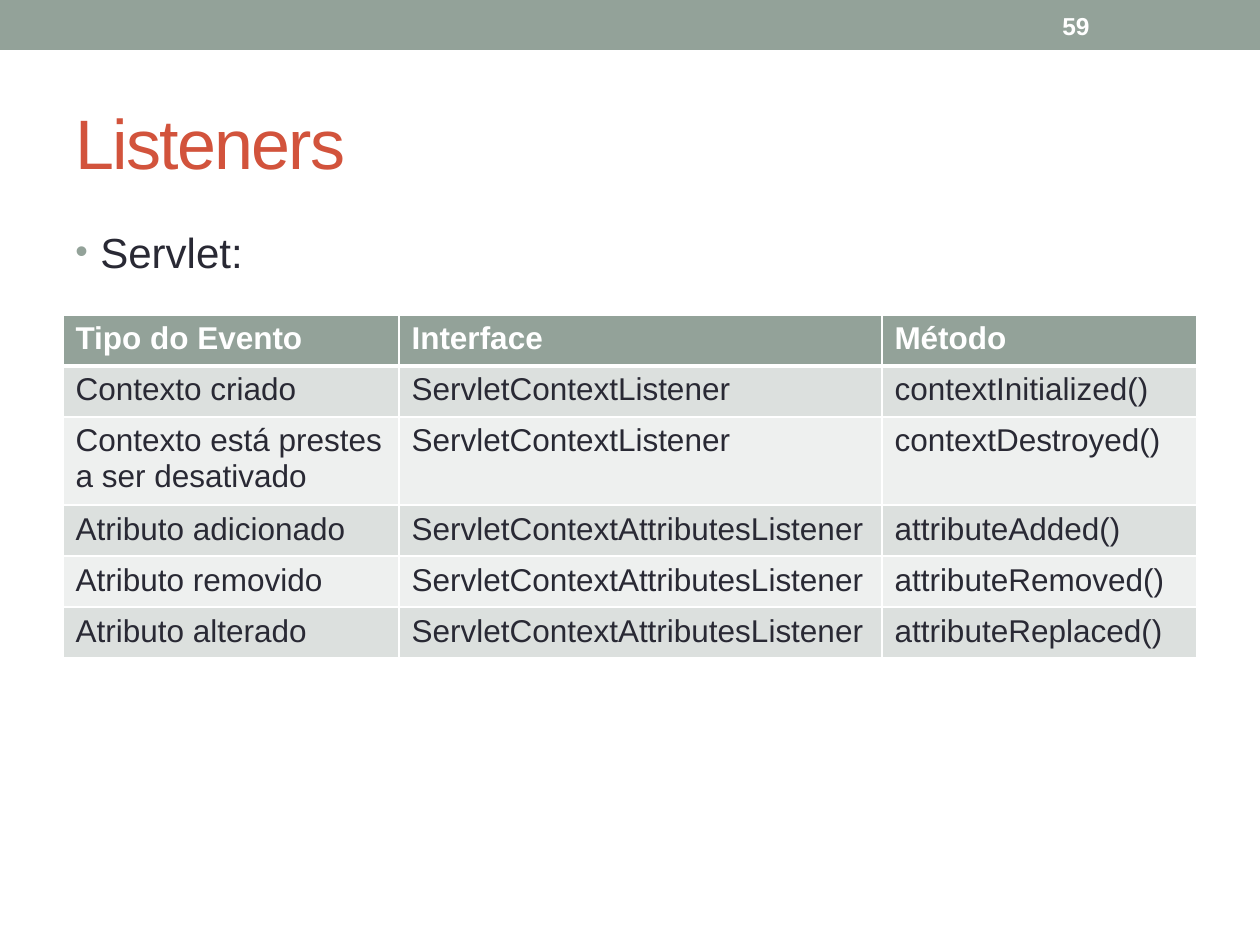
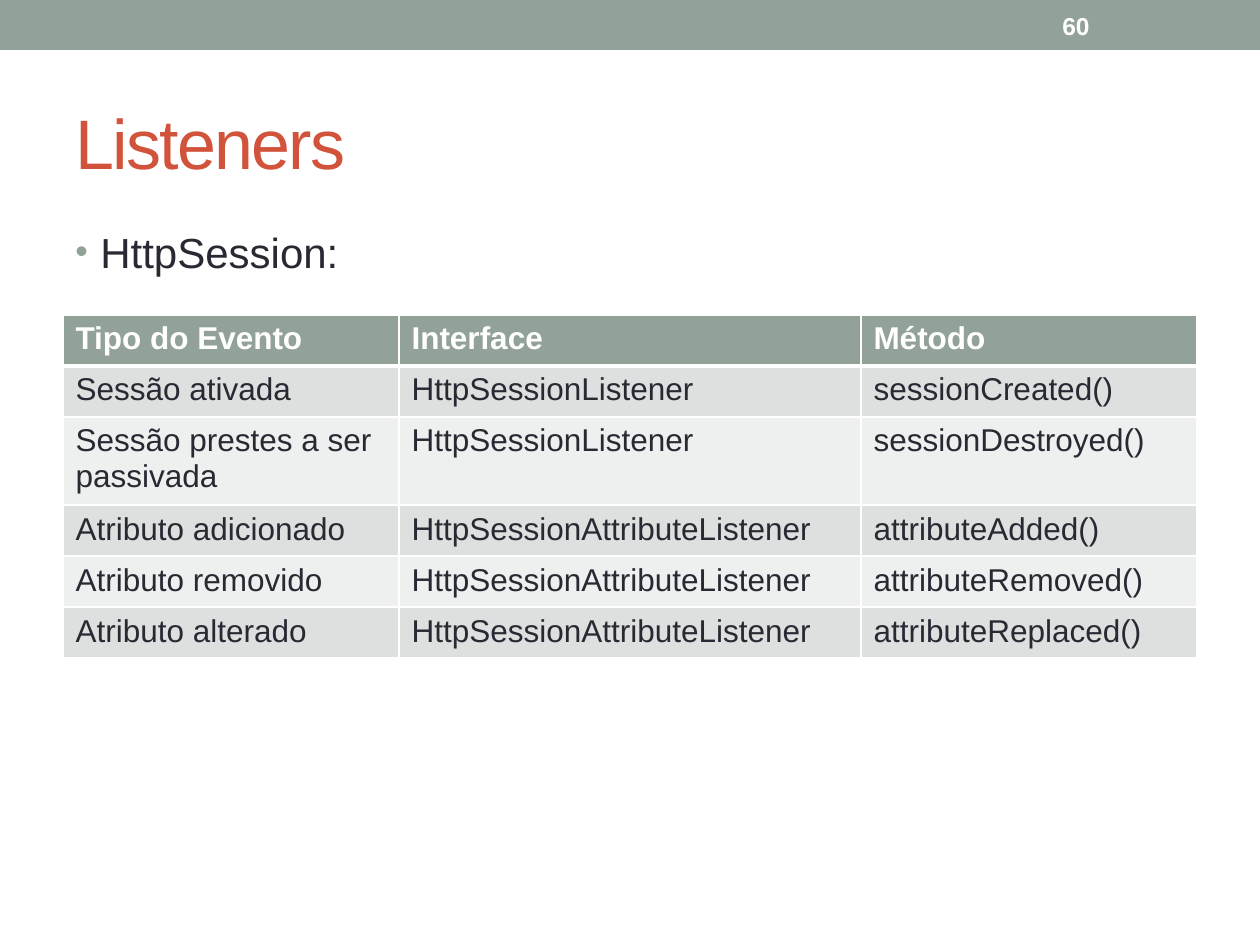
import dataclasses
import typing

import lxml.etree
import pptx
import pptx.dml.color
import pptx.enum.shapes
import pptx.enum.text
import pptx.oxml.ns
import pptx.slide
import pptx.table
import pptx.text.text
import pptx.util

PX = 914400 // 126


@dataclasses.dataclass(frozen=True)
class Theme:
    font: str = "Arial"
    band: str = "93A299"
    title: str = "D2533C"
    ink: str = "292934"
    white: str = "FFFFFF"
    stripes: tuple[str, str] = ("DCE0DE", "EEF0EF")
    title_size: int = 40
    body_size: int = 24
    table_size: int = 18
    number_size: int = 14
    rule: int = 1
    header_rule: int = 3


class Box(typing.NamedTuple):
    left: int
    top: int
    width: int
    height: int


@dataclasses.dataclass(frozen=True)
class ListenerSlide:
    number: int
    subject: str
    columns: tuple[int, int, int]
    rows: tuple[tuple[str, str, str], ...]


THEME = Theme()
SIZE = (1260, 945)
BAND = Box(0, 0, 1260, 50)
TITLE = Box(63, 73, 1134, 136)
BODY = Box(63, 220, 1134, 672)
NUMBER = Box(1050, 3, 147, 45)
TABLE = Box(63, 315, 1134, 344)
ROW_HEIGHT = 51
BULLET_INDENT = 25
HEADER = ("Tipo do Evento", "Interface", "Método")

SLIDES = (
    ListenerSlide(59, "Servlet:", (336, 483, 315), (
        ("Contexto criado", "ServletContextListener", "contextInitialized()"),
        ("Contexto está prestes a ser desativado", "ServletContextListener", "contextDestroyed()"),
        ("Atributo adicionado", "ServletContextAttributesListener", "attributeAdded()"),
        ("Atributo removido", "ServletContextAttributesListener", "attributeRemoved()"),
        ("Atributo alterado", "ServletContextAttributesListener", "attributeReplaced()"),
    )),
    ListenerSlide(60, "HttpSession:", (336, 462, 336), (
        ("Sessão ativada", "HttpSessionListener", "sessionCreated()"),
        ("Sessão prestes a ser passivada", "HttpSessionListener", "sessionDestroyed()"),
        ("Atributo adicionado", "HttpSessionAttributeListener", "attributeAdded()"),
        ("Atributo removido", "HttpSessionAttributeListener", "attributeRemoved()"),
        ("Atributo alterado", "HttpSessionAttributeListener", "attributeReplaced()"),
    )),
)


def px(n: int) -> pptx.util.Emu:
    return pptx.util.Emu(n * PX)


def rgb(color: str) -> pptx.dml.color.RGBColor:
    return pptx.dml.color.RGBColor.from_string(color)


def place(box: Box) -> list[pptx.util.Emu]:
    return [px(n) for n in box]


def sub(parent: lxml.etree._Element, tag: str, **attrs: object) -> lxml.etree._Element:
    el = lxml.etree.SubElement(parent, pptx.oxml.ns.qn(f"a:{tag}"))
    for name, value in attrs.items():
        el.set(name, str(value))
    return el


def add_bullet(p: pptx.text.text._Paragraph) -> None:
    pPr = p._p.get_or_add_pPr()
    pPr.set("marL", str(px(BULLET_INDENT)))
    pPr.set("indent", str(-px(BULLET_INDENT)))
    sub(sub(pPr, "spcBef"), "spcPct", val=20000)
    sub(sub(pPr, "buClr"), "srgbClr", val=THEME.band)
    sub(pPr, "buSzPct", val=85000)
    sub(pPr, "buFont", typeface=THEME.font)
    sub(pPr, "buChar", char="•")


def write(tf: pptx.text.text.TextFrame, text: str, *, size: int, color: str,
          bold: bool = False, spacing: int = 0, bullet: bool = False) -> None:
    p = tf.paragraphs[0]
    if bullet:
        add_bullet(p)
    r = p.add_run()
    r.text = text
    r.font.name = THEME.font
    r.font.size = pptx.util.Pt(size)
    r.font.bold = bold
    r.font.color.rgb = rgb(color)
    if spacing:
        r._r.get_or_add_rPr().set("spc", str(spacing * 100))


def add_text(s: pptx.slide.Slide, box: Box, text: str, *, middle: bool = True,
             **fmt: typing.Any) -> None:
    tf = s.shapes.add_textbox(*place(box)).text_frame
    tf.word_wrap = True
    anchor = pptx.enum.text.MSO_ANCHOR
    tf.vertical_anchor = anchor.MIDDLE if middle else anchor.TOP
    write(tf, text, **fmt)


def add_band(s: pptx.slide.Slide) -> None:
    sp = s.shapes.add_shape(pptx.enum.shapes.MSO_SHAPE.RECTANGLE, *place(BAND))
    sp.shadow.inherit = False
    sp.fill.solid()
    sp.fill.fore_color.rgb = rgb(THEME.band)
    sp.line.fill.background()


def style_cell(cell: pptx.table._Cell, fill: str, top: int, bottom: int) -> None:
    tcPr = cell._tc.get_or_add_tcPr()
    for side, width in (("L", THEME.rule), ("R", THEME.rule), ("T", top), ("B", bottom)):
        ln = sub(tcPr, f"ln{side}", w=pptx.util.Pt(width))
        sub(sub(ln, "solidFill"), "srgbClr", val=THEME.white)
    cell.fill.solid()
    cell.fill.fore_color.rgb = rgb(fill)


def add_events(s: pptx.slide.Slide, spec_slide: ListenerSlide) -> None:
    rows = (HEADER, *spec_slide.rows)
    table = s.shapes.add_table(len(rows), len(HEADER), *place(TABLE)).table
    for column, width in zip(table.columns, spec_slide.columns):
        column.width = px(width)
    for i, texts in enumerate(rows):
        table.rows[i].height = px(ROW_HEIGHT)
        header = i == 0
        fill = THEME.band if header else THEME.stripes[(i - 1) % 2]
        top = THEME.header_rule if i == 1 else THEME.rule
        bottom = THEME.header_rule if header else THEME.rule
        for j, text in enumerate(texts):
            cell = table.cell(i, j)
            style_cell(cell, fill, top, bottom)
            write(cell.text_frame, text, size=THEME.table_size, bold=header,
                  color=THEME.white if header else THEME.ink)


def add_slide(prs: typing.Any, content: ListenerSlide) -> None:
    s = prs.slides.add_slide(prs.slide_layouts[6])
    add_band(s)
    add_text(s, TITLE, "Listeners", size=THEME.title_size, color=THEME.title, spacing=-1)
    add_text(s, BODY, content.subject, middle=False, size=THEME.body_size,
             color=THEME.ink, bullet=True)
    add_text(s, NUMBER, str(content.number), size=THEME.number_size,
             color=THEME.white, bold=True)
    add_events(s, content)


def main() -> None:
    prs = pptx.Presentation()
    prs.slide_width, prs.slide_height = map(px, SIZE)
    for content in SLIDES:
        add_slide(prs, content)
    prs.save("out.pptx")


if __name__ == "__main__":
    main()
